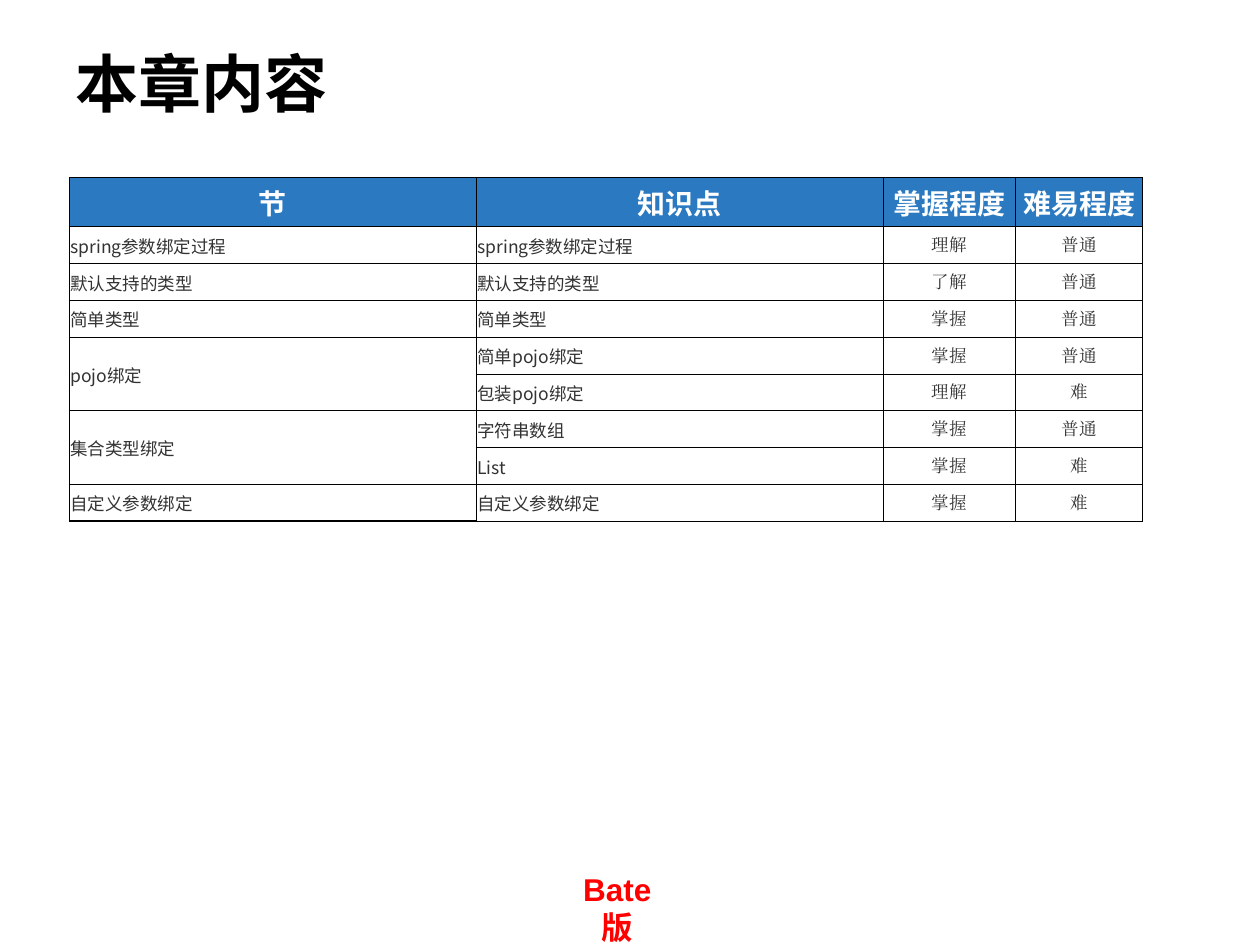
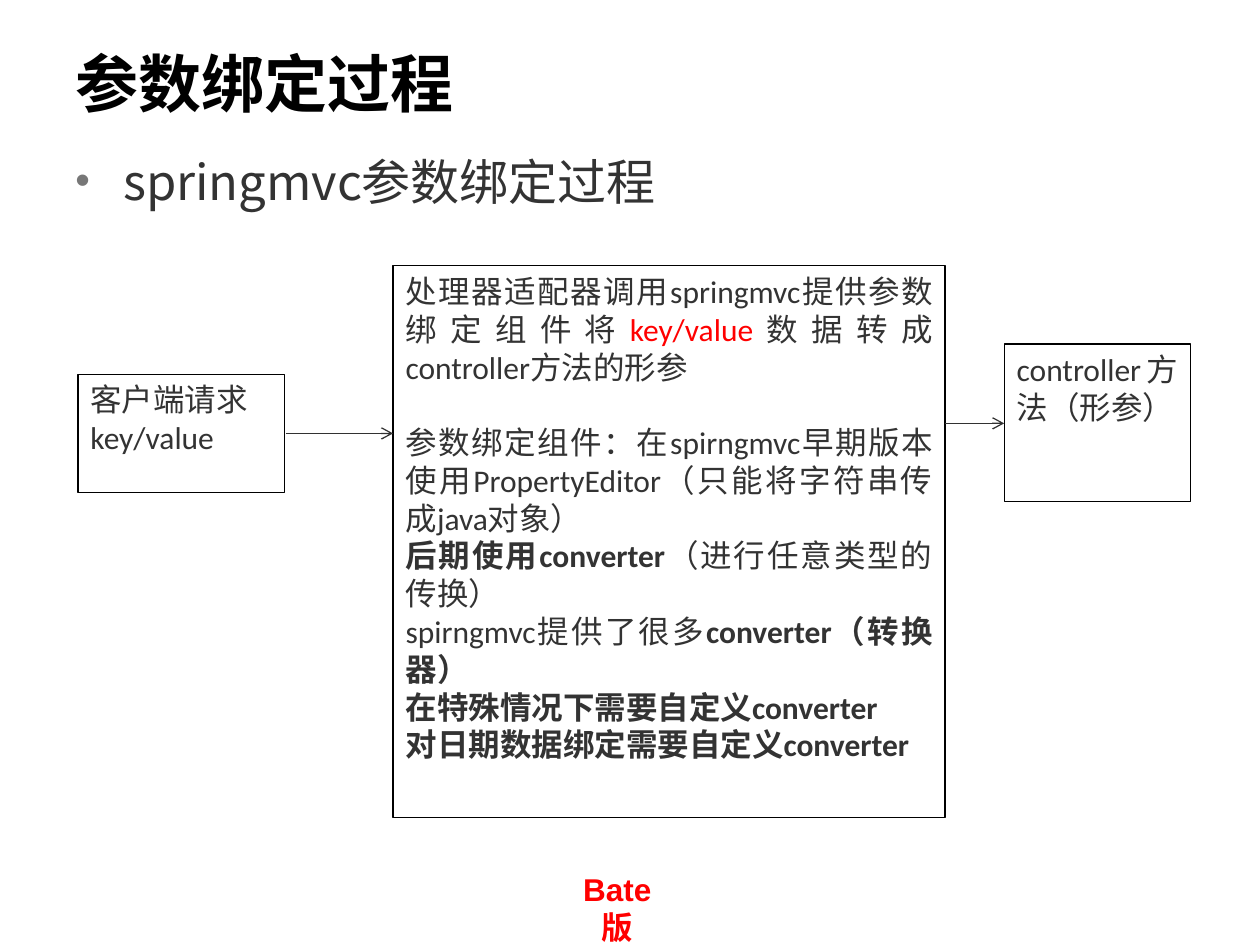
import dataclasses
from typing import Any

import lxml.etree
import pptx
import pptx.dml.color
import pptx.enum.shapes
import pptx.enum.text
import pptx.oxml.ns
import pptx.util

Inches = pptx.util.Inches
Pt = pptx.util.Pt
Align = pptx.enum.text.PP_ALIGN
Anchor = pptx.enum.text.MSO_ANCHOR
qn = pptx.oxml.ns.qn

BLACK, WHITE, RED = "000000", "FFFFFF", "FF0000"
TEXT, HEADER, BULLET, ARROW = "333333", "2A79C1", "777777", "323232"
SANS = "Noto Sans CJK SC"
THIN, THICK = 0.5, 1


@dataclasses.dataclass(frozen=True)
class Style:
    font: str
    size: float
    color: str = TEXT
    bold: bool = False
    align: Any = Align.LEFT


@dataclasses.dataclass(frozen=True)
class Span:
    text: str
    bold: bool = False
    color: str = TEXT


@dataclasses.dataclass(frozen=True)
class Line:
    spans: tuple[Span, ...]
    space_before: float = 0


@dataclasses.dataclass(frozen=True)
class Box:
    left: float
    top: float
    width: float
    height: float
    lines: tuple[Line, ...]


@dataclasses.dataclass(frozen=True)
class Arrow:
    left: float
    right: float
    y: float


@dataclasses.dataclass(frozen=True)
class Topic:
    section: str
    point: str
    mastery: str
    difficulty: str
    heavy: bool = False
    heavy_bottom: bool = False


TITLE_STYLE = Style(SANS, 36, BLACK, True)
FOOTER_STYLE = Style("Arial", 18, RED, True, Align.CENTER)
BULLET_STYLE = Style(SANS, 28)
BOX_STYLE = Style("Calibri", 18, align=Align.JUSTIFY)
HEADER_STYLE = Style(SANS, 16, WHITE, True, Align.CENTER)
TOPIC_STYLE = Style(SANS, 10)
LEVEL_STYLE = Style("Times New Roman", 10, align=Align.CENTER)

HEADINGS = ("节", "知识点", "掌握程度", "难易程度")
COLUMN_WIDTHS = (3.23, 3.23, 1.05, 1.01)
HEADER_HEIGHT, TABLE_HEIGHT = 0.39, 2.73
TOPICS = (
    Topic("spring参数绑定过程", "spring参数绑定过程", "理解", "普通"),
    Topic("默认支持的类型", "默认支持的类型", "了解", "普通", True),
    Topic("简单类型", "简单类型", "掌握", "普通", True),
    Topic("pojo绑定", "简单pojo绑定", "掌握", "普通"),
    Topic("", "包装pojo绑定", "理解", "难"),
    Topic("集合类型绑定", "字符串数组", "掌握", "普通", True),
    Topic("", "List", "掌握", "难", True, True),
    Topic("自定义参数绑定", "自定义参数绑定", "掌握", "难", True, True),
)

BOXES = (
    Box(3.12, 2.11, 4.38, 4.38, (
        Line((Span("处理器适配器调用springmvc提供参数绑定组件将"),
              Span("key/value", color=RED),
              Span("数据转成controller方法的形参"))),
        Line((Span("参数绑定组件：在spirngmvc早期版本使用PropertyEditor"
                   "（只能将字符串传成java对象）"),), 21.5),
        Line((Span("后期使用converter", True), Span("（进行任意类型的传换）"))),
        Line((Span("spirngmvc提供了很多"), Span("converter（转换器）", True))),
        Line((Span("在特殊情况下需要自定义converter", True),)),
        Line((Span("对日期数据绑定需要自定义converter", True),)),
    )),
    Box(0.62, 2.97, 1.64, 0.94,
        (Line((Span("客户端请求"),)), Line((Span("key/value"),)))),
    Box(7.97, 2.73, 1.48, 1.25, (Line((Span("controller方法（形参）"),)),)),
)
ARROWS = (Arrow(2.27, 3.12, 3.44), Arrow(7.5, 7.97, 3.36))


def rgb(value: str) -> pptx.dml.color.RGBColor:
    return pptx.dml.color.RGBColor.from_string(value)


def assign(target: Any, values: dict[str, Any]) -> None:
    for name, value in values.items():
        setattr(target, name, value)


def add_xml(parent: Any, tag: str, **values: Any) -> Any:
    element = lxml.etree.SubElement(parent, qn(tag))
    for name, value in values.items():
        element.set(name, str(value))
    return element


def write(paragraph: Any, text: str, style: Style) -> None:
    paragraph.alignment = style.align
    span = paragraph.add_run()
    span.text = text
    assign(span.font, {"name": style.font, "size": Pt(style.size), "bold": style.bold})
    span.font.color.rgb = rgb(style.color)
    add_xml(span.font._element, "a:ea", typeface=style.font)


def format_frame(frame: Any) -> None:
    assign(frame, {
        "word_wrap": True,
        "auto_size": pptx.enum.text.MSO_AUTO_SIZE.NONE,
        "vertical_anchor": Anchor.TOP,
        "margin_left": Inches(0.1), "margin_right": Inches(0.1),
        "margin_top": Inches(0.05), "margin_bottom": Inches(0.05),
    })


def add_text(page: Any, left: float, top: float, width: float, height: float,
             text: str, style: Style) -> Any:
    box = page.shapes.add_textbox(Inches(left), Inches(top), Inches(width), Inches(height))
    format_frame(box.text_frame)
    write(box.text_frame.paragraphs[0], text, style)
    return box


def add_page(deck: Any, title: str) -> Any:
    page = deck.slides.add_slide(deck.slide_layouts[5])
    add_text(page, 4.5, 6.86, 0.8, 0.4, "Bate版", FOOTER_STYLE)
    heading = page.shapes.title
    assign(heading, {"left": Inches(0.5), "top": Inches(0.3),
                     "width": Inches(7.97), "height": Inches(0.77)})
    format_frame(heading.text_frame)
    write(heading.text_frame.paragraphs[0], title, TITLE_STYLE)
    return page


def set_borders(cell: Any, widths: dict[str, float]) -> None:
    properties = cell._tc.get_or_add_tcPr()
    for side in "LRTB":
        border = add_xml(properties, f"a:ln{side}", w=Pt(widths.get(side, THIN)))
        add_xml(add_xml(border, "a:solidFill"), "a:srgbClr", val=BLACK)


def fill_cell(cell: Any, text: str, style: Style, fill: str,
              widths: dict[str, float]) -> None:
    set_borders(cell, widths)
    cell.fill.solid()
    cell.fill.fore_color.rgb = rgb(fill)
    assign(cell, {"vertical_anchor": Anchor.MIDDLE,
                  "margin_left": Inches(0.01), "margin_right": Inches(0.01),
                  "margin_top": Inches(0.01), "margin_bottom": 0})
    if text:
        write(cell.text_frame.paragraphs[0], text, style)


def topic_borders(row: int, column: int) -> dict[str, float]:
    topic = TOPICS[row]
    widths = {}
    if topic.heavy and column == 0:
        widths.update(L=THICK, R=THICK)
        if topic.heavy_bottom:
            widths["B"] = THICK
        if row and TOPICS[row - 1].heavy_bottom:
            widths["T"] = THICK
    elif topic.heavy and column == 1:
        widths["L"] = THICK
    return widths


def add_topic_table(page: Any) -> None:
    frame = page.shapes.add_table(
        len(TOPICS) + 1, len(HEADINGS), Inches(0.55), Inches(1.41),
        Inches(sum(COLUMN_WIDTHS)), Inches(TABLE_HEIGHT))
    table = frame.table
    assign(table, {"first_row": False, "horz_banding": False})
    for column, width in zip(table.columns, COLUMN_WIDTHS):
        column.width = Inches(width)
    for row in table.rows:
        row.height = Inches((TABLE_HEIGHT - HEADER_HEIGHT) / len(TOPICS))
    table.rows[0].height = Inches(HEADER_HEIGHT)
    for column, heading in enumerate(HEADINGS):
        fill_cell(table.cell(0, column), heading, HEADER_STYLE, HEADER, {})
    for row, topic in enumerate(TOPICS):
        texts = (topic.section, topic.point, topic.mastery, topic.difficulty)
        for column, text in enumerate(texts):
            style = TOPIC_STYLE if column < 2 else LEVEL_STYLE
            fill_cell(table.cell(row + 1, column), text, style, WHITE,
                      topic_borders(row, column))
        if not topic.section:
            table.cell(row, 0).merge(table.cell(row + 1, 0))


def add_bullet(page: Any, text: str) -> None:
    box = add_text(page, 0.5, 1.15, 8.91, 0.8, text, BULLET_STYLE)
    properties = box.text_frame.paragraphs[0]._p.get_or_add_pPr()
    properties.set("marL", str(Inches(0.38)))
    properties.set("indent", str(Inches(-0.38)))
    add_xml(add_xml(properties, "a:buClr"), "a:srgbClr", val=BULLET)
    add_xml(properties, "a:buSzPct", val=85000)
    add_xml(properties, "a:buFont", typeface="Arial")
    add_xml(properties, "a:buChar", char="•")


def add_box(page: Any, box: Box) -> None:
    shape = page.shapes.add_shape(
        pptx.enum.shapes.MSO_SHAPE.RECTANGLE, Inches(box.left), Inches(box.top),
        Inches(box.width), Inches(box.height))
    shape.shadow.inherit = False
    shape.fill.solid()
    shape.fill.fore_color.rgb = rgb(WHITE)
    shape.line.color.rgb = rgb(BLACK)
    shape.line.width = Pt(0.75)
    frame = shape.text_frame
    format_frame(frame)
    for index, line in enumerate(box.lines):
        paragraph = frame.add_paragraph() if index else frame.paragraphs[0]
        paragraph.space_before = Pt(line.space_before)
        for span in line.spans:
            write(paragraph, span.text,
                  dataclasses.replace(BOX_STYLE, bold=span.bold, color=span.color))


def add_arrow(page: Any, arrow: Arrow) -> None:
    connector = page.shapes.add_connector(
        pptx.enum.shapes.MSO_CONNECTOR.STRAIGHT, Inches(arrow.left), Inches(arrow.y),
        Inches(arrow.right), Inches(arrow.y))
    connector.line.color.rgb = rgb(ARROW)
    connector.line.width = Pt(0.75)
    add_xml(connector.line._get_or_add_ln(), "a:tailEnd", type="arrow")
    add_xml(connector._element.spPr, "a:effectLst")


def main() -> None:
    deck = pptx.Presentation()
    assign(deck, {"slide_width": Inches(10), "slide_height": Inches(7.5)})
    add_topic_table(add_page(deck, "本章内容"))
    page = add_page(deck, "参数绑定过程")
    add_bullet(page, "springmvc参数绑定过程")
    for box in BOXES:
        add_box(page, box)
    for arrow in ARROWS:
        add_arrow(page, arrow)
    deck.save("out.pptx")


main()
